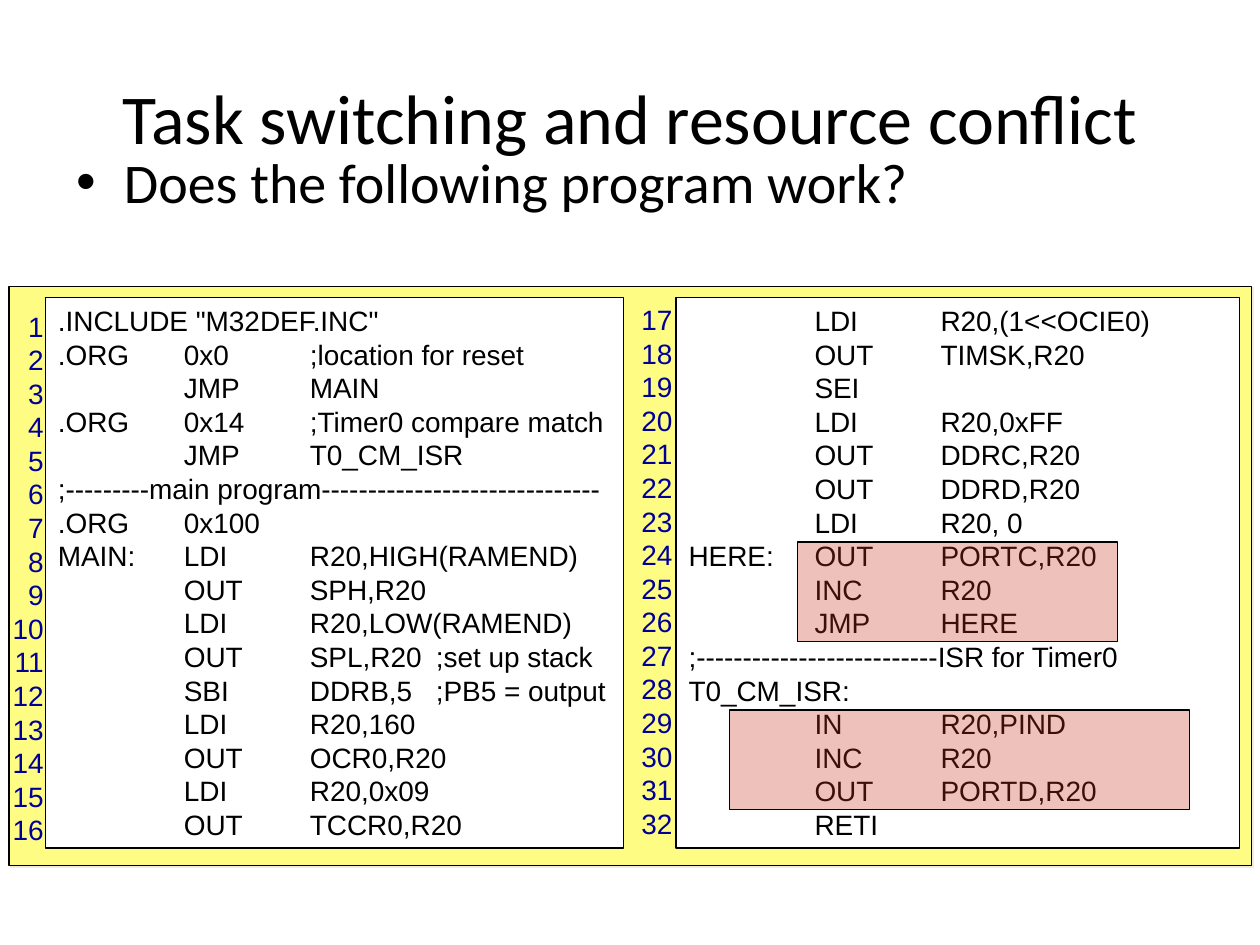
from dataclasses import dataclass

from lxml.etree import SubElement
from pptx import Presentation
from pptx.dml.color import RGBColor
from pptx.enum.shapes import MSO_SHAPE
from pptx.enum.text import MSO_ANCHOR, PP_ALIGN
from pptx.oxml.ns import qn
from pptx.util import Pt


@dataclass(frozen=True)
class Theme:
    ink: str = "000000"
    number: str = "000099"
    panel: str = "FFFC84"
    panel_shadow: str = "EEECE1"
    paper: str = "FFFFFF"
    highlight: str = "C9381B"
    highlight_opacity: int = 30
    heading_font: str = "Calibri"
    code_font: str = "Arial"
    title_size: float = 40
    bullet_size: float = 32
    code_size: float = 16
    code_pitch: float = 19.2
    outline: float = 0.75


THEME = Theme()
CODE_TOP = 170
CODE_HEIGHT = 314.6
INSET_X, INSET_Y = 7.2, 3.6
TAB_STEP, TAB_COUNT = 72, 4

LEFT_CODE = """\
.INCLUDE "M32DEF.INC"
.ORG\t0x0\t;location for reset
\tJMP\tMAIN
.ORG\t0x14\t;Timer0 compare match
\tJMP\tT0_CM_ISR
;---------main program------------------------------
.ORG\t0x100
MAIN:\tLDI\tR20,HIGH(RAMEND)
\tOUT\tSPH,R20
\tLDI\tR20,LOW(RAMEND)
\tOUT\tSPL,R20\t;set up stack
\tSBI\tDDRB,5\t;PB5 = output
\tLDI\tR20,160
\tOUT\tOCR0,R20
\tLDI\tR20,0x09
\tOUT\tTCCR0,R20""".split("\n")

RIGHT_CODE = """\
\tLDI\tR20,(1<<OCIE0)
\tOUT\tTIMSK,R20
\tSEI
\tLDI\tR20,0xFF
\tOUT\tDDRC,R20
\tOUT\tDDRD,R20
\tLDI\tR20, 0
HERE:\tOUT\tPORTC,R20
\tINC\tR20
\tJMP\tHERE
;--------------------------ISR for Timer0
T0_CM_ISR:
\tIN\tR20,PIND
\tINC\tR20
\tOUT\tPORTD,R20
\tRETI""".split("\n")


def prepare_frame(shape, anchor=MSO_ANCHOR.TOP):
    frame = shape.text_frame
    frame.word_wrap = True
    frame.vertical_anchor = anchor
    frame.margin_left = frame.margin_right = Pt(INSET_X)
    frame.margin_top = frame.margin_bottom = Pt(INSET_Y)
    return frame


def add_run(paragraph, text, font_name, size, color):
    run = paragraph.add_run()
    run.text = text
    run.font.name = font_name
    run.font.size = Pt(size)
    run.font.color.rgb = RGBColor.from_string(color)


def add_text_box(slide, left, top, width, height):
    return slide.shapes.add_textbox(Pt(left), Pt(top), Pt(width), Pt(height))


def add_box(slide, left, top, width, height, fill):
    shape = slide.shapes.add_shape(
        MSO_SHAPE.RECTANGLE, Pt(left), Pt(top), Pt(width), Pt(height))
    shape.shadow.inherit = False
    shape.fill.solid()
    shape.fill.fore_color.rgb = RGBColor.from_string(fill)
    shape.line.color.rgb = RGBColor.from_string(THEME.ink)
    shape.line.width = Pt(THEME.outline)
    return shape


def add_title(slide, text):
    shape = add_text_box(slide, 36, 21.6, 648, 90)
    paragraph = prepare_frame(shape, MSO_ANCHOR.MIDDLE).paragraphs[0]
    paragraph.alignment = PP_ALIGN.CENTER
    add_run(paragraph, text, THEME.heading_font, THEME.title_size, THEME.ink)


def add_bullet(slide, text):
    shape = add_text_box(slide, 36.7, 80.6, 654.5, 45.4)
    paragraph = prepare_frame(shape).paragraphs[0]
    properties = paragraph._p.get_or_add_pPr()
    properties.set("marL", str(Pt(27)))
    properties.set("indent", str(-Pt(27)))
    SubElement(properties, qn("a:buFont"), typeface="Arial")
    SubElement(properties, qn("a:buChar"), char="•")
    add_run(paragraph, text, THEME.heading_font, THEME.bullet_size, THEME.ink)


def add_panel(slide):
    """Yellow backing with a thin hard shadow to the lower right."""
    panel = add_box(slide, 5.2, 163.6, 710, 331.2, THEME.panel)
    effects = panel._element.spPr.find(qn("a:effectLst"))
    shadow = SubElement(effects, qn("a:outerShdw"), dist=str(Pt(1.4)),
                        dir=str(45 * 60000), algn="ctr", rotWithShape="0")
    SubElement(shadow, qn("a:srgbClr"), val=THEME.panel_shadow)


def add_tab_stops(paragraph):
    tabs = SubElement(paragraph._p.get_or_add_pPr(), qn("a:tabLst"))
    for number in range(1, TAB_COUNT + 1):
        SubElement(tabs, qn("a:tab"), pos=str(Pt(number * TAB_STEP)), algn="l")


def add_lines(shape, lines, color, alignment):
    frame = prepare_frame(shape)
    for index, line in enumerate(lines):
        paragraph = frame.add_paragraph() if index else frame.paragraphs[0]
        paragraph.alignment = alignment
        paragraph.line_spacing = Pt(THEME.code_pitch)
        if "\t" in line:
            add_tab_stops(paragraph)
        add_run(paragraph, line, THEME.code_font, THEME.code_size, color)


def add_code(slide, left, width, lines):
    shape = add_box(slide, left, CODE_TOP, width, CODE_HEIGHT, THEME.paper)
    add_lines(shape, lines, THEME.ink, PP_ALIGN.LEFT)


def add_line_numbers(slide, left, top, first, count):
    shape = add_text_box(slide, left, top, 38.9, CODE_HEIGHT)
    numbers = [str(number) for number in range(first, first + count)]
    add_lines(shape, numbers, THEME.number, PP_ALIGN.RIGHT)


def add_highlight(slide, left, width, row):
    """Tint three code rows, starting at a row counted from zero."""
    top = CODE_TOP + INSET_Y + 1.7 + row * THEME.code_pitch
    shape = add_box(slide, left, top, width, 57, THEME.highlight)
    color = shape._element.spPr.find(qn("a:solidFill")).find(qn("a:srgbClr"))
    SubElement(color, qn("a:alpha"), val=str(THEME.highlight_opacity * 1000))


def main():
    presentation = Presentation()
    presentation.slide_width, presentation.slide_height = Pt(720), Pt(540)
    slide = presentation.slides.add_slide(presentation.slide_layouts[6])

    add_panel(slide)
    add_title(slide, "Task switching and resource conflict")
    add_bullet(slide, "Does the following program work?")
    add_code(slide, 26, 330.5, LEFT_CODE)
    add_code(slide, 386.4, 321.8, RIGHT_CODE)
    add_line_numbers(slide, -6.9, 173.1, 1, len(LEFT_CODE))
    add_line_numbers(slide, 352.5, 169.4, len(LEFT_CODE) + 1, len(RIGHT_CODE))
    add_highlight(slide, 417, 262.8, RIGHT_CODE.index("T0_CM_ISR:") + 1)
    add_highlight(slide, 455.8, 182.9, RIGHT_CODE.index("HERE:\tOUT\tPORTC,R20"))

    presentation.save("out.pptx")


if __name__ == "__main__":
    main()
